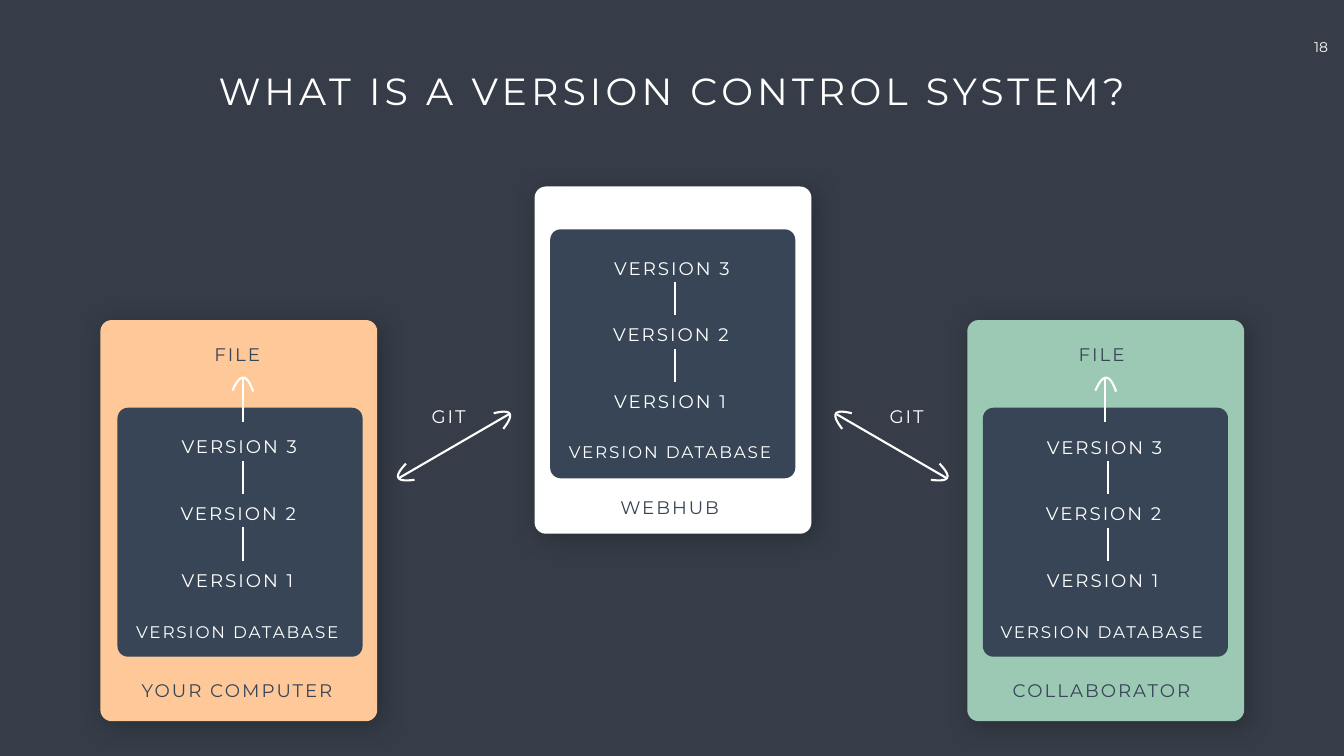
"""Build a slide that shows how a version control system links three places."""
import pptx
import pptx.util
import pptx.oxml
import pptx.oxml.ns
import pptx.dml.color
import pptx.enum.text
import pptx.enum.shapes

Pt = pptx.util.Pt
RGB = pptx.dml.color.RGBColor.from_string
ALIGN = pptx.enum.text.PP_ALIGN
ROUND = pptx.enum.shapes.MSO_SHAPE.ROUNDED_RECTANGLE
LINE = pptx.enum.shapes.MSO_CONNECTOR.STRAIGHT
NS = pptx.oxml.ns.nsdecls("a")
INK = {"back": "363D48", "navy": "374556", "white": "FFFFFF",
       "peach": "FFC899", "mint": "9CC9B4", "black": "000000"}

deck = pptx.Presentation()
deck.slide_width = pptx.util.Inches(26.65)
deck.slide_height = pptx.util.Inches(15)
cell = deck.slide_height / 15
slide = deck.slides.add_slide(deck.slide_layouts[5])
slide.background.fill.solid()
slide.background.fill.fore_color.rgb = RGB(INK["back"])


def grid(*spans):
    """Turn grid cells into lengths."""
    return [round(n * cell) for n in spans]


def write(text, spot, ink="white", size=26, gap=2.8, box=None, **form):
    """Put one styled line of text on the grid."""
    box = box or slide.shapes.add_textbox(*grid(*spot))
    box.left, box.top, box.width, box.height = grid(*spot)
    frame = box.text_frame
    look = {"word_wrap": True, "auto_size": pptx.enum.text.MSO_AUTO_SIZE.NONE,
            "vertical_anchor": pptx.enum.text.MSO_ANCHOR.TOP}
    look.update({"margin_" + side: grid(0.05)[0]
                 for side in ("left", "top", "right", "bottom")})
    for key, val in look.items():
        setattr(frame, key, val)
    para = frame.paragraphs[0]
    for key, val in form.items():
        setattr(para, key, val)
    run = para.add_run()
    run.text = text
    for key, val in {"name": "Montserrat", "size": Pt(size)}.items():
        setattr(run.font, key, val)
    run.font.color.rgb = RGB(INK[ink])
    run.font._element.set("spc", str(round(gap * 100)))


write("WHAT IS A VERSION CONTROL SYSTEM?", (3.38, 1.29, 19.9, 1.02), size=54,
      gap=6, box=slide.shapes.title, alignment=ALIGN.CENTER)
write("18", (25.95, 0.72, 0.49, 0.43), size=20, gap=0, alignment=ALIGN.CENTER)

tall = Pt(42)
lines = []
cards = [
    ("YOUR COMPUTER", "peach", 1.99, 6.35, 7.96, 2.33, 8.09,
     3.55, 8.44, 2.65, 12.11, 2.76, 13.28, 4.21),
    ("WEBHUB", "white", 10.6, 3.7, 6.89, 10.91, 4.55,
     12.13, 4.9, 11.23, 8.53, 12.25, 9.64, 2.4),
    ("COLLABORATOR", "mint", 19.18, 6.35, 7.96, 19.49, 8.09,
     20.71, 8.45, 19.79, 12.11, 20.03, 13.28, 3.78),
]
for name, hue, x, y, high, dx, dy, vx, vy, bx, by, nx, ny, wide in cards:
    for spot, fill, curve in (((x, y, 5.49, high), hue, 0.041),
                              ((dx, dy, 4.86, 4.94), "navy", 0.043)):
        panel = slide.shapes.add_shape(ROUND, *grid(*spot))
        panel.adjustments[0] = curve
        panel.shadow.inherit = False
        panel.fill.solid()
        panel.fill.fore_color.rgb = RGB(INK[fill])
        panel.line.fill.background()
        if fill == hue:
            glow = panel._element.spPr.find(pptx.oxml.ns.qn("a:effectLst"))
            glow.append(pptx.oxml.parse_xml(
                f'<a:outerShdw {NS} blurRad="{Pt(36)}" dist="{Pt(8)}" '
                f'dir="2700000" algn="tl" rotWithShape="0">'
                f'<a:srgbClr val="{INK["black"]}"><a:alpha val="26000"/>'
                f'</a:srgbClr></a:outerShdw>'))
    for step in range(3):
        write(f"VERSION {3 - step}", (vx - step % 2 * 0.02, vy + step * 1.325, 2.7, 0.66),
              line_spacing=tall)
    write("VERSION DATABASE", (bx, by, 4.45, 0.65), size=24, gap=2.6,
          line_spacing=tall)
    write(name, (nx, ny, wide, 0.66), "navy", line_spacing=tall)
    mid = vx + 1.26
    for step in range(2):
        top = vy + 0.7 + step * 1.325
        lines.append((mid, top, mid, top + 0.66))

for x in (4.2, 21.34):
    write("FILE", (x, 6.62, 1.23, 0.66), "navy", line_spacing=tall)
for x in (8.51, 17.59):
    write("GIT", (x, 7.84, 1.03, 0.66), line_spacing=tall)

bends = []
for x in (4.81, 21.92):
    lines.append((x, 7.52, x, 8.38))
    bends.append([(x - 0.2, 7.75), (x - 0.05, 7.4), (x + 0.09, 7.41), (x + 0.21, 7.77)])
heads = [[(16.89, 8.2), (16.53, 8.11), (16.47, 8.21), (16.7, 8.51)],
         [(18.63, 9.2), (18.89, 9.47), (18.83, 9.57), (18.46, 9.52)]]
for base, sign in ((0, 1), (26.68, -1)):
    lines.append((base + sign * 16.59, 8.22, base + sign * 18.76, 9.48))
    bends += [[(base + sign * x, y) for x, y in head] for head in heads]

marks = []
for ends in lines:
    mark = slide.shapes.add_connector(LINE, *grid(*ends))
    mark._element.spPr.append(pptx.oxml.parse_xml(f"<a:effectLst {NS}/>"))
    marks.append(mark)
for bend in bends:
    dots = []
    for t in (n / 16 for n in range(17)):
        parts = ((1 - t) ** 3, 3 * t * (1 - t) ** 2, 3 * t * t * (1 - t), t ** 3)
        dots.append(grid(*(sum(k * dot[axis] for k, dot in zip(parts, bend))
                           for axis in (0, 1))))
    pen = slide.shapes.build_freeform(*dots[0])
    pen.add_line_segments(dots[1:], close=False)
    mark = pen.convert_to_shape()
    mark.fill.background()
    mark.shadow.inherit = False
    marks.append(mark)
for mark in marks:
    mark.line.width = Pt(3)
    mark.line.color.rgb = RGB(INK["white"])

deck.save("out.pptx")
